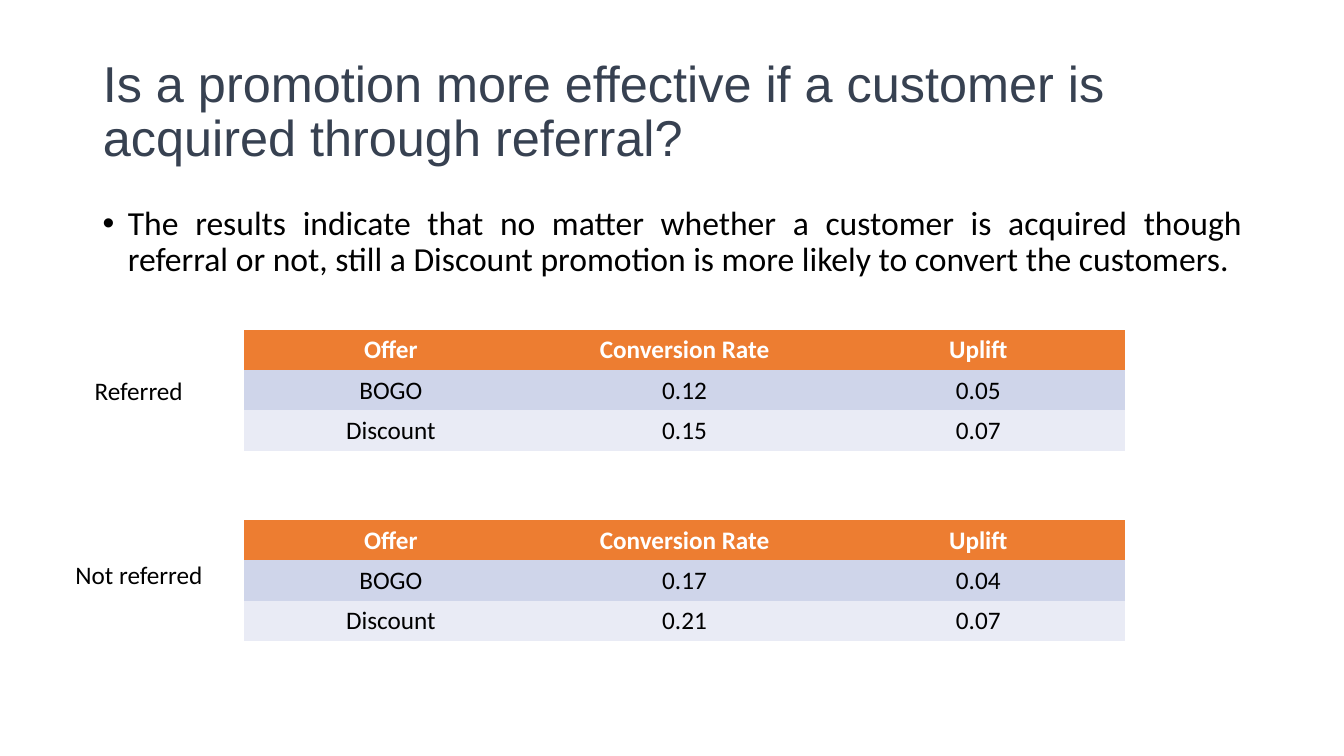
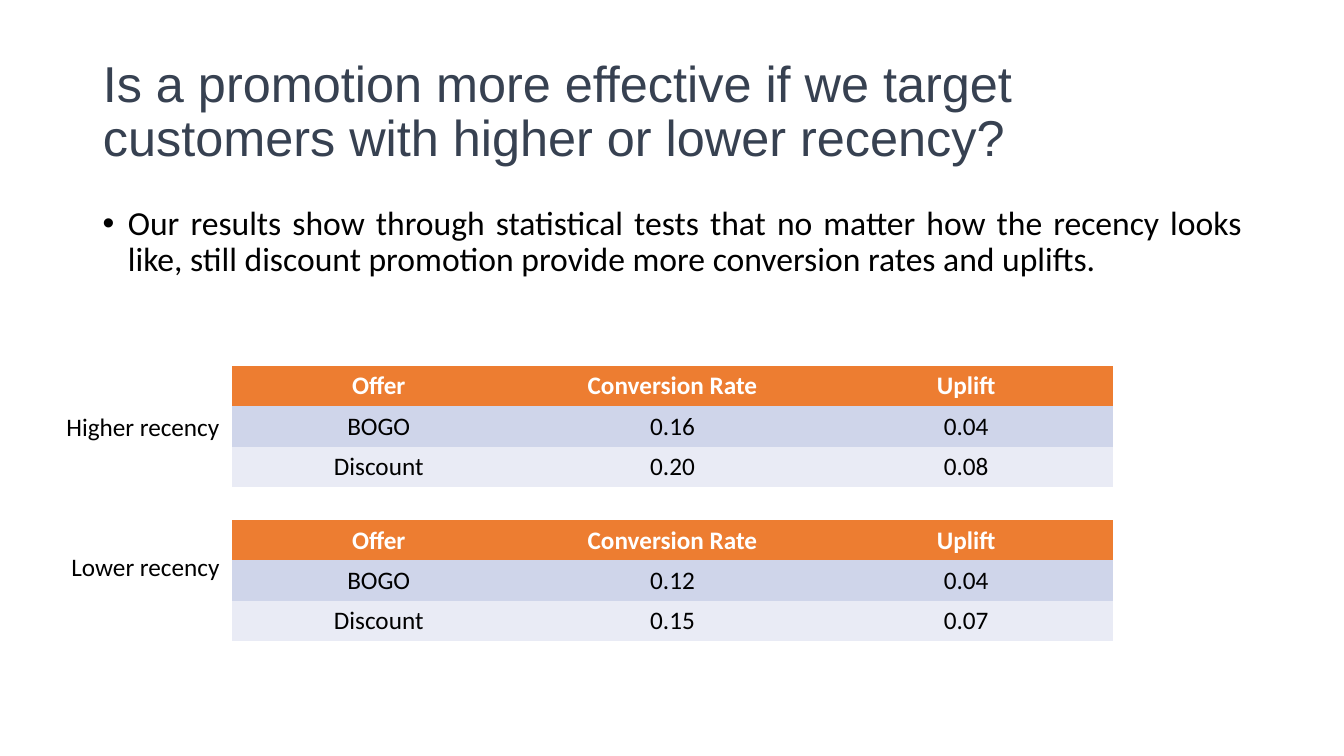
from dataclasses import dataclass

from lxml import etree
from pptx import Presentation
from pptx import util as u
from pptx.dml.color import RGBColor
from pptx.enum import text
from pptx.oxml import ns


@dataclass(frozen=True)
class Theme:
    title_font: str = "Arial"
    body_font: str = "Calibri"
    title_size: int = 36
    body_size: int = 24
    table_size: int = 18
    title_color: str = "374151"
    ink: str = "000000"
    header_ink: str = "FFFFFF"
    header_fill: str = "ED7D31"
    row_fills: tuple = ("CFD5EA", "E9EBF5")


THEME = Theme()
HEADER = ("Offer", "Conversion Rate", "Uplift")
PLAIN_TABLE_STYLE = "{2D5ABB26-0587-4C30-8999-92F81FD0307C}"
MARGIN = 0.92
CONTENT_WIDTH = 11.5
TABLE_WIDTH = 8.74
ROW_HEIGHT = 0.4
LABEL_HEIGHT = 0.4


def write(frame, words, *, size, font=THEME.body_font, color=THEME.ink, bold=False,
          align=text.PP_ALIGN.LEFT, line_spacing=None, space_before=0):
    para = frame.paragraphs[0]
    para.alignment = align
    para.line_spacing = line_spacing
    para.space_before = u.Pt(space_before)
    span = para.add_run()
    span.text = words
    span.font.name = font
    span.font.size = u.Pt(size)
    span.font.bold = bold
    span.font.color.rgb = RGBColor.from_string(color)
    return para


def add_bullet(para, indent):
    properties = para._p.get_or_add_pPr()
    properties.set("marL", str(u.Inches(indent)))
    properties.set("indent", str(-u.Inches(indent)))
    etree.SubElement(properties, ns.qn("a:buFont")).set("typeface", "Arial")
    etree.SubElement(properties, ns.qn("a:buChar")).set("char", "•")


def add_box(page, left, top, width, height, wrap):
    box = page.shapes.add_textbox(*map(u.Inches, (left, top, width, height)))
    box.text_frame.word_wrap = wrap
    return box.text_frame


def add_title(page, words):
    title = page.shapes.title
    title.left, title.top = u.Inches(MARGIN), u.Inches(0.4)
    title.width, title.height = u.Inches(CONTENT_WIDTH), u.Inches(1.45)
    frame = title.text_frame
    frame.auto_size = text.MSO_AUTO_SIZE.NONE
    frame.vertical_anchor = text.MSO_ANCHOR.MIDDLE
    write(frame, words, size=THEME.title_size, font=THEME.title_font,
          color=THEME.title_color, line_spacing=0.9)


def add_finding(page, words):
    frame = add_box(page, MARGIN, 2, CONTENT_WIDTH, 4.76, True)
    para = write(frame, words, size=THEME.body_size, align=text.PP_ALIGN.JUSTIFY,
                 line_spacing=0.9, space_before=10)
    add_bullet(para, 0.25)


def add_label(page, words, left, top, width):
    frame = add_box(page, left, top, width, LABEL_HEIGHT, False)
    write(frame, words, size=THEME.table_size)


def add_offer_table(page, left, top, results):
    rows = (HEADER, *results)
    table = page.shapes.add_table(
        len(rows), len(HEADER), u.Inches(left), u.Inches(top),
        u.Inches(TABLE_WIDTH), u.Inches(ROW_HEIGHT * len(rows))).table
    table._tbl.tblPr.find(ns.qn("a:tableStyleId")).text = PLAIN_TABLE_STYLE
    for row_index, row in enumerate(rows):
        is_header = row_index == 0
        fill = THEME.header_fill if is_header else THEME.row_fills[(row_index - 1) % 2]
        for column_index, words in enumerate(row):
            cell = table.cell(row_index, column_index)
            cell.fill.solid()
            cell.fill.fore_color.rgb = RGBColor.from_string(fill)
            write(cell.text_frame, words, size=THEME.table_size, bold=is_header,
                  color=THEME.header_ink if is_header else THEME.ink,
                  align=text.PP_ALIGN.CENTER)


def add_comparison(deck, title, finding, table_left, groups):
    page = deck.slides.add_slide(deck.slide_layouts[5])
    add_title(page, title)
    add_finding(page, finding)
    for label, label_place, table_top, results in groups:
        add_offer_table(page, table_left, table_top, results)
        add_label(page, label, *label_place)


def main():
    deck = Presentation()
    deck.slide_width, deck.slide_height = u.Inches(13.33), u.Inches(7.5)
    add_comparison(
        deck,
        "Is a promotion more effective if a customer is acquired through referral?",
        "The results indicate that no matter whether a customer is acquired though "
        "referral or not, still a Discount promotion is more likely to convert the customers.",
        2.42,
        (("Referred", (0.84, 3.67, 1.09), 3.27,
          (("BOGO", "0.12", "0.05"), ("Discount", "0.15", "0.07"))),
         ("Not referred", (0.65, 5.5, 1.48), 5.16,
          (("BOGO", "0.17", "0.04"), ("Discount", "0.21", "0.07")))))
    add_comparison(
        deck,
        "Is a promotion more effective if we target customers with higher or lower recency?",
        "Our results show through statistical tests that no matter how the recency looks "
        "like, still discount promotion provide more conversion rates and uplifts.",
        2.3,
        (("Higher recency", (0.56, 4.03, 1.74), 3.63,
          (("BOGO", "0.16", "0.04"), ("Discount", "0.20", "0.08"))),
         ("Lower recency", (0.61, 5.42, 1.69), 5.16,
          (("BOGO", "0.12", "0.04"), ("Discount", "0.15", "0.07")))))
    deck.save("out.pptx")


if __name__ == "__main__":
    main()
